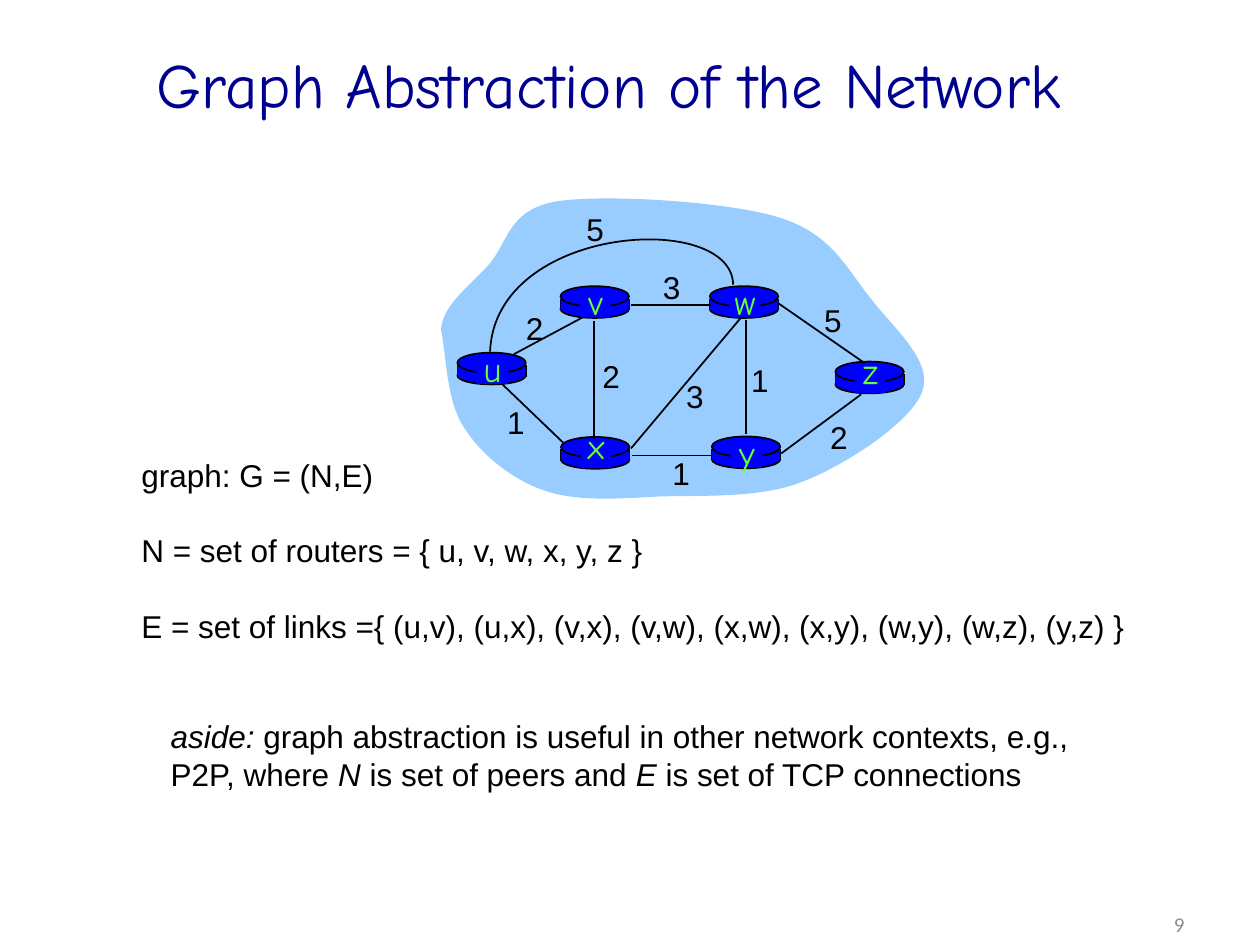
"""Build a slide that shows a network as a weighted graph of routers."""
from dataclasses import dataclass

from lxml import etree
from pptx import Presentation
from pptx import util as u
from pptx.dml.color import RGBColor
from pptx.enum import shapes, text
from pptx.oxml import ns

Point = tuple[float, float]
Shape = shapes.MSO_SHAPE
Align = text.PP_ALIGN
BLACK, BLUE, GREEN, SKY = "000000", "0000FF", "66FF33", "99CCFF"
ROUTER_WIDTH = 1.38
LINE_HEIGHT = 21.6


@dataclass
class Router:
    name: str
    left: float
    top: float
    lift: float = 0.23


@dataclass
class Link:
    start: Point
    end: Point
    cost: str
    cost_at: Point


ROUTERS = [
    Router("u", 9.22, 7.11),
    Router("x", 11.31, 8.81, 0.38),
    Router("v", 11.3, 5.77),
    Router("w", 14.31, 5.77),
    Router("y", 14.35, 8.8),
    Router("z", 16.84, 7.29, 0.36),
]
LINKS = [
    Link((10.36, 7.14), (11.89, 6.32), "2", (10.35, 6.1)),
    Link((11.98, 6.48), (11.98, 8.84), "2", (11.89, 7.07)),
    Link((10.13, 7.75), (11.35, 8.92), "1", (9.97, 8.0)),
    Link((12.72, 9.04), (14.94, 6.4), "3", (13.58, 7.47)),
    Link((12.75, 9.18), (14.35, 9.18), "1", (13.3, 9.03)),
    Link((15.04, 6.45), (15.04, 8.74), "1", (14.89, 7.15)),
    Link((15.75, 9.14), (17.36, 7.95), "2", (16.48, 8.31)),
    Link((15.7, 6.12), (17.43, 7.32), "5", (16.36, 5.94)),
    Link((12.73, 6.15), (14.33, 6.15), "3", (13.11, 5.28)),
]
CLOUD = [
    (8.89, 6.65),
    (8.92, 6.15), (9.47, 5.77), (9.86, 5.33),
    (10.24, 4.9), (10.24, 4.22), (11.23, 4.06),
    (12.19, 3.91), (14.68, 4.06), (15.72, 4.39),
    (16.79, 4.72), (17.09, 5.46), (17.58, 6.05),
    (18.03, 6.63), (18.82, 7.29), (18.59, 7.9),
    (18.36, 8.51), (17.09, 9.35), (16.21, 9.7),
    (15.32, 10.06), (14.15, 9.98), (13.26, 10.01),
    (12.4, 10.06), (11.58, 10.11), (10.95, 9.88),
    (10.29, 9.65), (9.68, 9.14), (9.35, 8.61),
    (8.99, 8.08), (8.99, 7.06), (8.89, 6.65),
]
ARC = [(14.78, 5.74), (14.76, 4.24), (9.98, 4.52), (9.88, 7.09)]
DEFINITIONS = [
    "graph: G = (N,E)",
    "N = set of routers = { u, v, w, x, y, z }",
    "E = set of links ={ (u,v), (u,x), (v,x), (v,w), (x,w), (x,y), (w,y), (w,z), (y,z) }",
]
ASIDE = [
    [("aside:", True), (" graph abstraction is useful in other network contexts, e.g.,", False)],
    [("P2P, where ", False), ("N", True), (" is set of peers and ", False), ("E", True),
     (" is set of TCP connections", False)],
]


def color(value: str) -> RGBColor:
    return RGBColor.from_string(value)


def paint(shape, fill: str | None, line: str | None) -> None:
    shape.shadow.inherit = False
    if fill:
        shape.fill.solid()
        shape.fill.fore_color.rgb = color(fill)
    else:
        shape.fill.background()
    if line:
        shape.line.color.rgb = color(line)
        shape.line.width = u.Pt(1)
    else:
        shape.line.fill.background()


def add_part(page, kind, left: float, top: float, width: float, height: float,
             line: str | None = None) -> None:
    part = page.shapes.add_shape(kind, u.Cm(left), u.Cm(top), u.Cm(width), u.Cm(height))
    paint(part, BLUE, line)


def add_line(page, start: Point, end: Point) -> None:
    line = page.shapes.add_connector(
        shapes.MSO_CONNECTOR.STRAIGHT, *(u.Cm(value) for value in start + end))
    line.line.color.rgb = color(BLACK)
    line.line.width = u.Pt(1)
    etree.SubElement(line._element.spPr, ns.qn("a:effectLst"))


def add_curve(page, points: list[Point], fill: str | None, line: str | None) -> None:
    start, *rest = [(u.Cm(x), u.Cm(y)) for x, y in points]
    builder = page.shapes.build_freeform(*start)
    builder.add_line_segments(rest, close=fill is not None)
    shape = builder.convert_to_shape()
    legs = list(shape._element.spPr.iter(ns.qn("a:lnTo")))
    for first in range(0, len(legs), 3):
        curve = etree.Element(ns.qn("a:cubicBezTo"))
        legs[first].addprevious(curve)
        for leg in legs[first:first + 3]:
            curve.append(leg[0])
            leg.getparent().remove(leg)
    paint(shape, fill, line)


def style(para, size: float, font: str, value: str, align=Align.LEFT) -> None:
    para.alignment = align
    para.font.size = u.Pt(size)
    para.font.name = font
    para.font.color.rgb = color(value)


def add_text(page, left: float, top: float, width: float, height: float,
             lines: list[list[tuple[str, bool]]], size: float = 18, font: str = "Arial",
             value: str = BLACK, align=Align.LEFT, spacing: float | None = None,
             gap: float = 0):
    box = page.shapes.add_textbox(u.Cm(left), u.Cm(top), u.Cm(width), u.Cm(height))
    frame = box.text_frame
    frame.word_wrap = align != Align.CENTER
    for index, spans in enumerate(lines):
        para = frame.paragraphs[0] if index == 0 else frame.add_paragraph()
        style(para, size, font, value, align)
        if spacing:
            para.line_spacing = u.Pt(spacing)
        if index:
            para.space_before = u.Pt(gap)
        for words, italic in spans:
            span = para.add_run()
            span.text = words
            if italic:
                span.font.italic = True
    return box


def add_router(page, router: Router) -> None:
    left, top, right = router.left, router.top, router.left + ROUTER_WIDTH
    add_part(page, Shape.OVAL, left, top + 0.28, ROUTER_WIDTH, 0.36, BLACK)
    for side in (left, right):
        add_line(page, (side, top + 0.25), (side, top + 0.48))
    add_part(page, Shape.RECTANGLE, left, top + 0.25, ROUTER_WIDTH, 0.23)
    add_part(page, Shape.OVAL, left, top, ROUTER_WIDTH, 0.41, BLACK)


def add_name(page, router: Router) -> None:
    left, top = router.left, router.top
    add_part(page, Shape.RECTANGLE, left + 0.39, top + 0.05, 0.63, 0.58)
    add_text(page, left + 0.25, top - router.lift, 0.92, 1.1, [[(router.name, False)]],
             20, "Comic Neue", GREEN, Align.CENTER)


def add_cost(page, cost: str, place: Point) -> None:
    add_text(page, *place, 0.86, 1.02, [[(cost, False)]], align=Align.CENTER,
             spacing=LINE_HEIGHT)


def main() -> None:
    deck = Presentation()
    deck.slide_width, deck.slide_height = u.Cm(25.4), u.Cm(19.05)
    page = deck.slides.add_slide(deck.slide_layouts[5])

    title = page.shapes.title
    title.left, title.top, title.width, title.height = map(u.Cm, (1.47, 0.58, 21.59, 2.21))
    title.text_frame.text = "Graph Abstraction of the Network"
    title.text_frame.vertical_anchor = text.MSO_ANCHOR.MIDDLE
    style(title.text_frame.paragraphs[0], 36, "Comic Neue", "000090", Align.CENTER)

    add_curve(page, CLOUD, SKY, None)
    for router in ROUTERS:
        add_router(page, router)
    for link in LINKS:
        add_line(page, link.start, link.end)
    add_curve(page, ARC, None, BLACK)
    for router in ROUTERS:
        add_name(page, router)
    for link in LINKS:
        add_cost(page, link.cost, link.cost_at)
    add_cost(page, "5", (11.57, 4.1))

    add_text(page, 2.6, 9.07, 20.55, 4.06, [[(line, False)] for line in DEFINITIONS],
             spacing=LINE_HEIGHT, gap=21.4)
    add_text(page, 3.19, 14.33, 18.8, 1.78, ASIDE, spacing=LINE_HEIGHT)
    number = add_text(page, 18.21, 18.12, 5.92, 1.02, [[("9", False)]], 12, "Calibri",
                      "8C8C8C", Align.RIGHT)
    number.text_frame.vertical_anchor = text.MSO_ANCHOR.MIDDLE
    deck.save("out.pptx")


if __name__ == "__main__":
    main()
